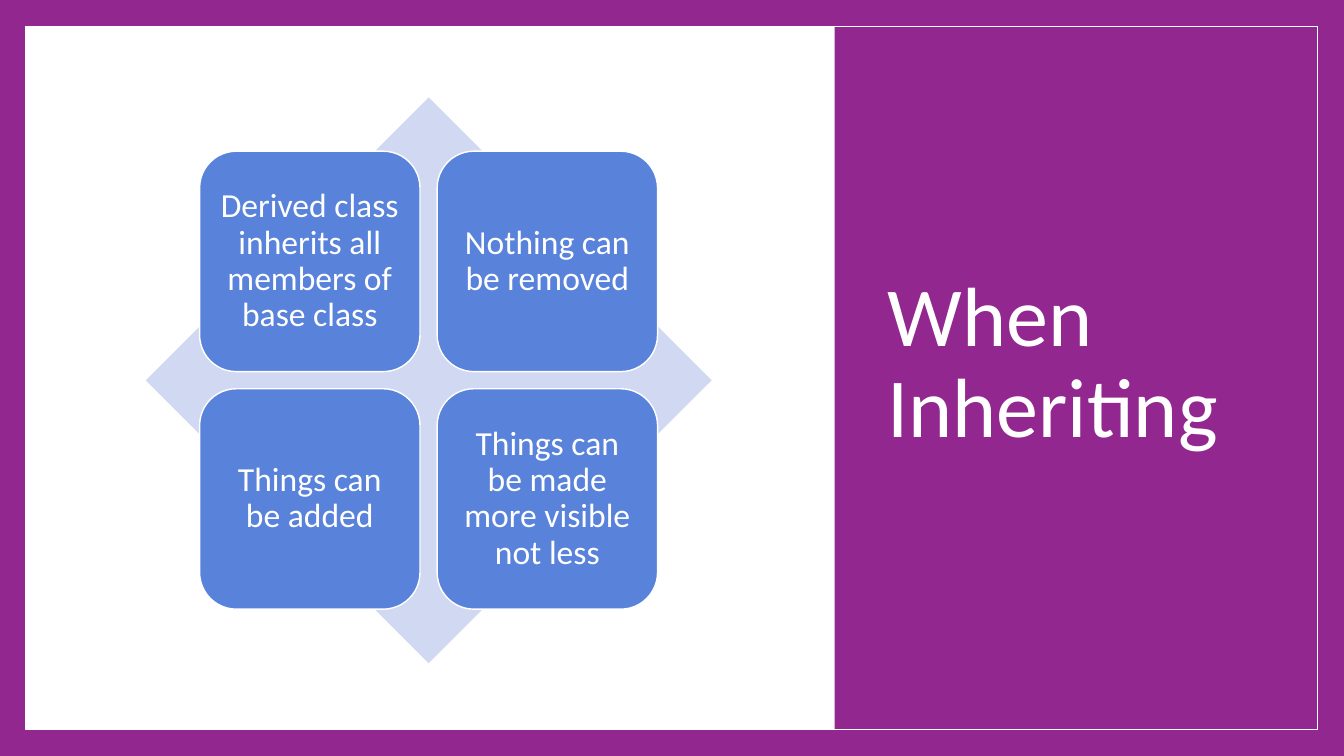
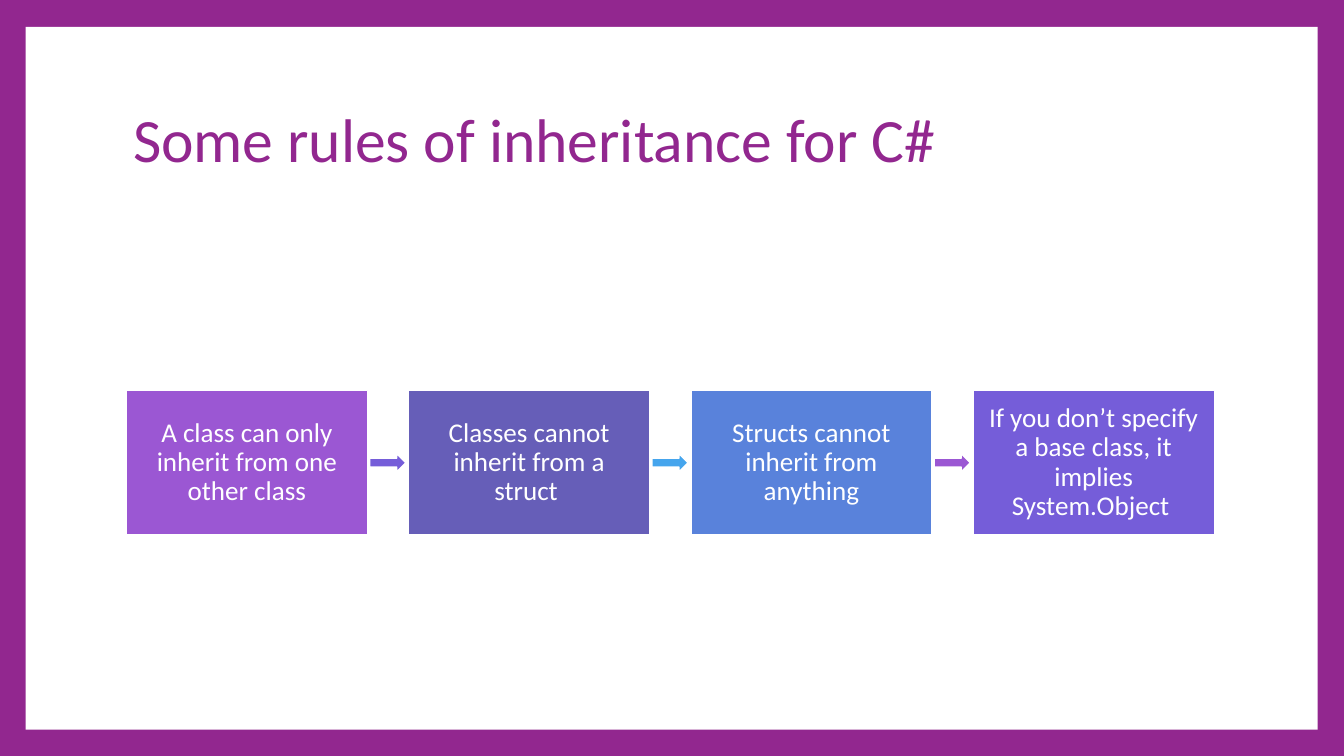
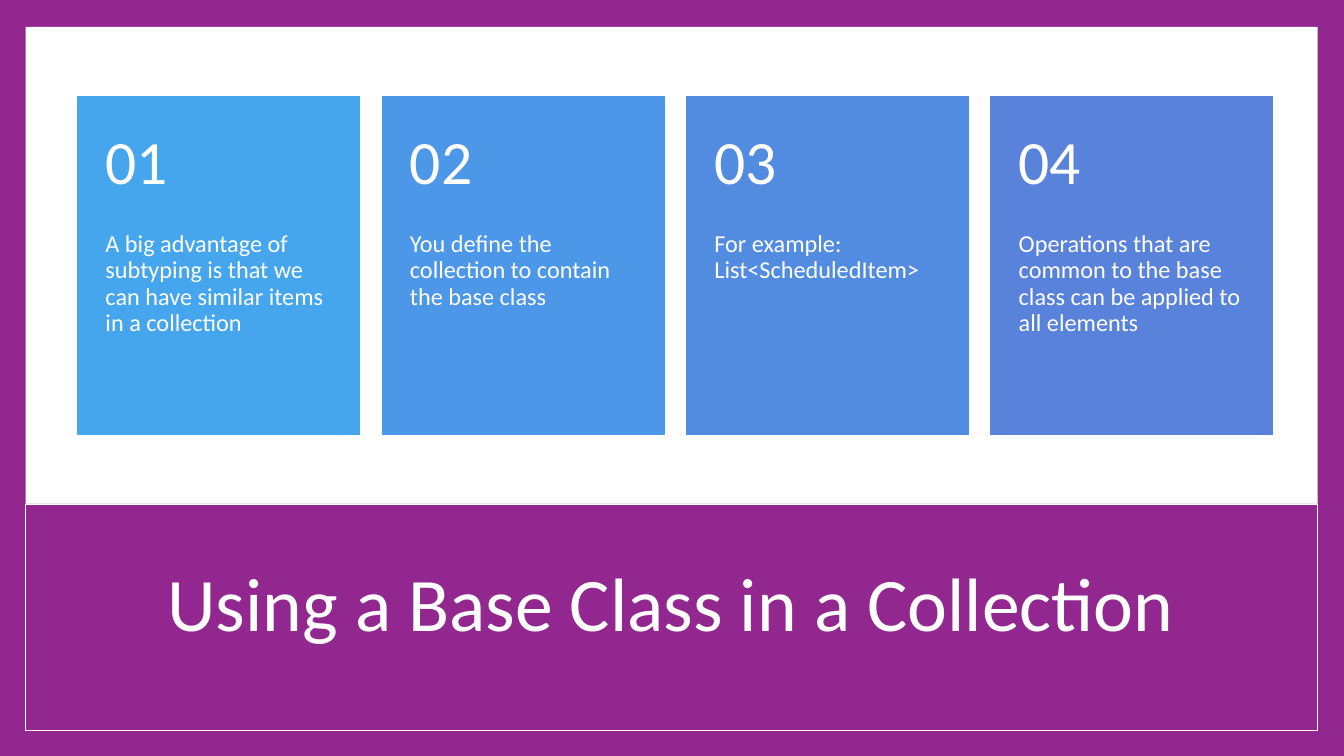
from pptx import Presentation
from pptx.dml.color import RGBColor
from pptx.enum.shapes import MSO_SHAPE
from pptx.enum.text import MSO_ANCHOR, MSO_AUTO_SIZE, PP_ALIGN
from pptx.util import Inches, Pt

FONT = "Calibri"
PURPLE, WHITE = "92278F", "FFFFFF"
VIOLET, INDIGO, BLUE, SKY, LILAC = "755DD9", "665EB8", "5982DB", "45A5ED", "9B57D3"
PALE_BLUE = "D1D8F1"
FRAME = (0.38, 0.4, 19.23, 10.46)

INHERITING_POINTS = [
    "Derived class inherits all members of base class",
    "Nothing can be removed",
    "Things can be added",
    "Things can be made more visible not less",
]
RULES = [
    ("A class can only inherit from one other class", LILAC),
    ("Classes cannot inherit from a struct ", INDIGO),
    ("Structs cannot inherit from anything", BLUE),
    ("If you don’t specify a base class, it implies System.Object ", VIOLET),
]
ARROW_COLORS = [VIOLET, SKY, LILAC]
CARDS = [
    ("A big advantage of subtyping is that we can have similar items in a collection", SKY),
    ("You define the collection to contain the base class", "4C97E7"),
    ("For example: List<ScheduledItem>", "528CE1"),
    ("Operations that are common to the base class can be applied to all elements", BLUE),
]


def color(hex_string):
    return RGBColor.from_string(hex_string)


def place(box, position):
    box.left, box.top, box.width, box.height = map(Inches, position)


def write(box, text, size, ink=WHITE, align=PP_ALIGN.LEFT,
          anchor=MSO_ANCHOR.MIDDLE, insets=(0.1, 0.05, 0.1, 0.05)):
    frame = box.text_frame
    frame.word_wrap = True
    frame.auto_size = MSO_AUTO_SIZE.NONE
    frame.vertical_anchor = anchor
    frame.margin_left, frame.margin_top, frame.margin_right, frame.margin_bottom = map(Inches, insets)
    para = frame.paragraphs[0]
    para.alignment = align
    para.line_spacing = 0.9
    span = para.add_run()
    span.text = text
    span.font.name = FONT
    span.font.size = Pt(size)
    span.font.color.rgb = color(ink)


def add_block(page, kind, position, fill=None, line=None, line_width=1.5):
    block = page.shapes.add_shape(kind, *map(Inches, position))
    block.shadow.inherit = False
    if fill:
        block.fill.solid()
        block.fill.fore_color.rgb = color(fill)
    else:
        block.fill.background()
    if line:
        block.line.color.rgb = color(line)
        block.line.width = Pt(line_width)
    else:
        block.line.fill.background()
    return block


def add_label(page, position, text, size, **style):
    box = page.shapes.add_textbox(*map(Inches, position))
    write(box, text, size, **style)


def add_page(deck):
    page = deck.slides.add_slide(deck.slide_layouts[5])
    page.background.fill.solid()
    page.background.fill.fore_color.rgb = color(PURPLE)
    add_block(page, MSO_SHAPE.RECTANGLE, FRAME, WHITE)
    return page


def add_title(page, text, position, size, **style):
    title = page.shapes.title
    title._element.getparent().append(title._element)
    place(title, position)
    write(title, text, size, **style)


def build_inheriting(deck):
    page = add_page(deck)
    add_block(page, MSO_SHAPE.RECTANGLE, (12.42, 0, 7.58, 11.25), PURPLE)
    add_title(page, "When Inheriting", (13.11, 1, 5.86, 8.86), 90)
    add_block(page, MSO_SHAPE.RECTANGLE, FRAME, line=WHITE, line_width=1)
    add_block(page, MSO_SHAPE.DIAMOND, (2.17, 1.45, 8.42, 8.42), PALE_BLUE)
    side, pitch = 3.28, 3.535
    for index, text in enumerate(INHERITING_POINTS):
        row, column = divmod(index, 2)
        position = (2.97 + column * pitch, 2.25 + row * pitch, side, side)
        tile = add_block(page, MSO_SHAPE.ROUNDED_RECTANGLE, position, BLUE, WHITE)
        write(tile, text, 36, align=PP_ALIGN.CENTER, insets=[0.15] * 4)


def build_rules(deck):
    page = add_page(deck)
    add_title(page, "Some rules of inheritance for C#", (1.88, 1, 16.2, 2.23), 66, ink=PURPLE)
    left, pitch = 1.88, 4.2
    for index, (text, fill) in enumerate(RULES):
        position = (left + index * pitch, 5.81, 3.59, 2.15)
        step = add_block(page, MSO_SHAPE.RECTANGLE, position, fill, WHITE)
        write(step, text, 29, align=PP_ALIGN.CENTER, insets=[0.17] * 4)
    for index, fill in enumerate(ARROW_COLORS):
        position = (left + 3.62 + index * pitch, 6.75, 0.54, 0.27)
        add_block(page, MSO_SHAPE.RIGHT_ARROW, position, fill, WHITE)


def build_collection(deck):
    page = add_page(deck)
    add_block(page, MSO_SHAPE.RECTANGLE, (0.38, 7.5, 19.23, 3.37), PURPLE, WHITE, 1)
    add_title(page, "Using a Base Class in a Collection", (1.88, 7.92, 16.2, 2.23), 81,
              align=PP_ALIGN.CENTER)
    top, width, number_height, text_height = 1.44, 4.19, 2.01, 3.02
    for index, (text, fill) in enumerate(CARDS):
        left = 1.16 + index * 4.53
        add_block(page, MSO_SHAPE.RECTANGLE,
                  (left, top, width, number_height + text_height), fill, fill)
        add_label(page, (left, top + number_height, width, text_height), text, 26,
                  anchor=MSO_ANCHOR.TOP, insets=(0.41, 0, 0.41, 0.36))
        add_label(page, (left, top, width, number_height), f"{index + 1:02d}", 66,
                  insets=(0.41, 0.18, 0.41, 0.18))


def main():
    deck = Presentation()
    deck.slide_width, deck.slide_height = Inches(20), Inches(11.25)
    build_inheriting(deck)
    build_rules(deck)
    build_collection(deck)
    deck.save("out.pptx")


if __name__ == "__main__":
    main()
